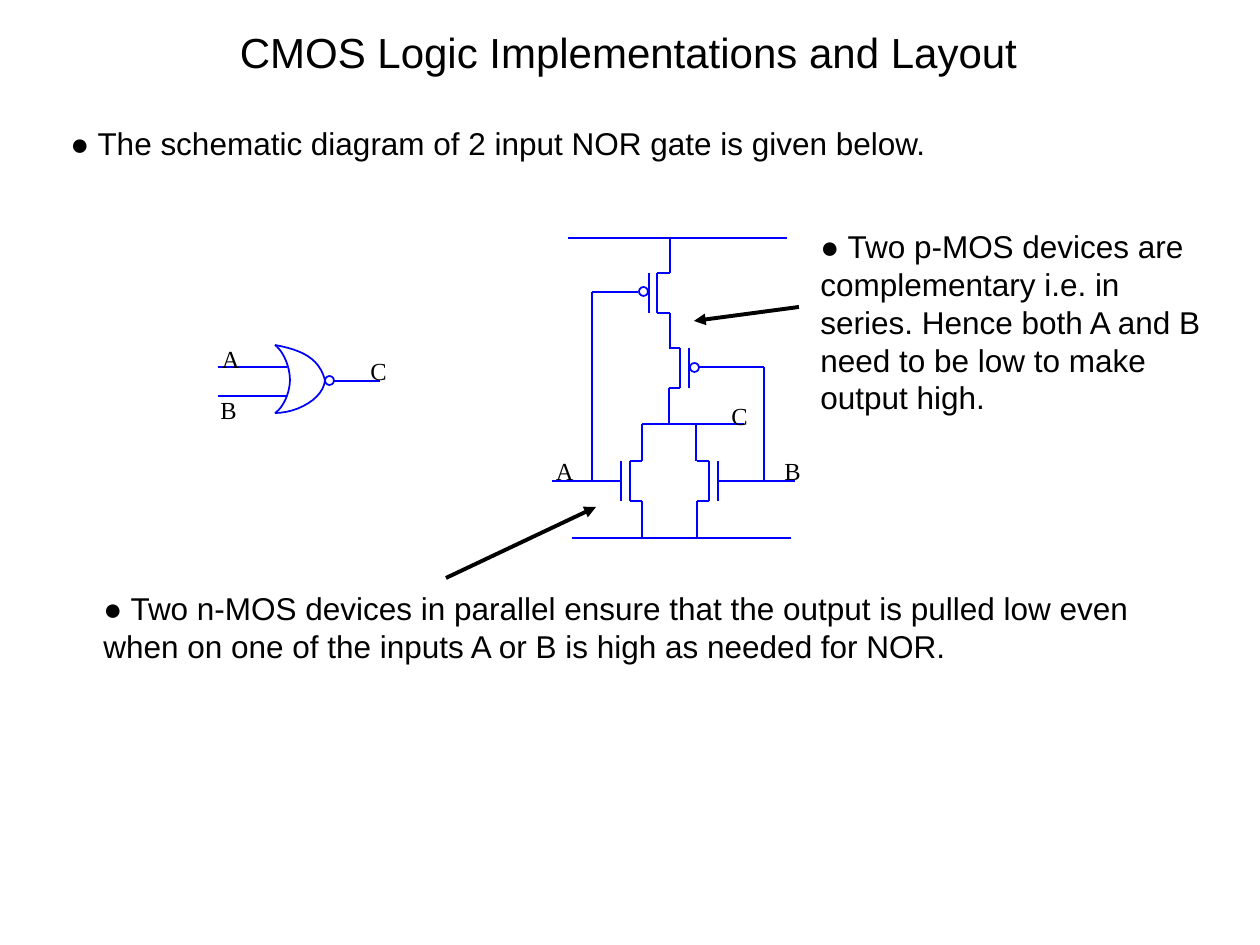
from pptx import Presentation
from pptx.dml.color import RGBColor
from pptx.enum.shapes import MSO_CONNECTOR, MSO_SHAPE
from pptx.enum.text import MSO_AUTO_SIZE, PP_ALIGN
from pptx.oxml.ns import qn
from pptx.util import Inches, Pt
from lxml import etree

PX = Inches(1) // 126
BLUE, BLACK, WHITE = "0000FF", "000000", "FFFFFF"
STRAIGHT, OVAL = MSO_CONNECTOR.STRAIGHT, MSO_SHAPE.OVAL
GROW = MSO_AUTO_SIZE.SHAPE_TO_FIT_TEXT
LEFT, CENTER = PP_ALIGN.LEFT, PP_ALIGN.CENTER
WIRE_WIDTH, ARROW_WIDTH = Pt(1), Pt(2.25)

deck = Presentation()
deck.slide_width, deck.slide_height = Inches(10), Inches(7.5)
page = deck.slides.add_slide(deck.slide_layouts[6])


def add_text(bounds, text, size, font, align, before=0, label=False):
    """Add a text box; a label has no margins and does not wrap."""
    box = page.shapes.add_textbox(*[value * PX for value in bounds])
    frame = box.text_frame
    frame.word_wrap = not label
    frame.auto_size = GROW
    if label:
        frame.margin_left = frame.margin_right = 0
        frame.margin_top = frame.margin_bottom = 0
    para = frame.paragraphs[0]
    para.text = text
    para.alignment = align
    para.space_before = Pt(before)
    para.font.size = Pt(size)
    para.font.name = font
    para.font.color.rgb = RGBColor.from_string(color := BLACK)


def add_line(x1, y1, x2, y2, color=BLUE, width=WIRE_WIDTH):
    """Add a straight line without a shadow and return it."""
    line = page.shapes.add_connector(STRAIGHT, x1 * PX, y1 * PX, x2 * PX, y2 * PX)
    line.line.color.rgb = RGBColor.from_string(color)
    line.line.width = width
    etree.SubElement(line._element.spPr, qn("a:effectLst"))
    return line


# Title and notes
add_text((44, 20, 1169, 63), "CMOS Logic Implementations and Layout", 24, "Arial", CENTER, 15)
notes = [
    ((58, 118, 1099, 50), "The schematic diagram of 2 input NOR gate is given below."),
    ((91, 583, 1099, 88), "Two n-MOS devices in parallel ensure that the output is pulled low "
                          "even when on one of the inputs A or B is high as needed for NOR."),
    ((808, 221, 410, 202), "Two p-MOS devices are complementary i.e. in series. Hence both "
                           "A and B need to be low to make output high."),
]
for bounds, text in notes:
    add_text(bounds, "● " + text, 18, "Arial", LEFT, 11.2)

# Transistors: gate bar, channel bar and lead x, top y
transistors = [(649, 657, 670, 273), (689, 680, 669, 348),
               (621, 630, 642, 461), (718, 709, 697, 461)]
for gate, channel, lead, top in transistors:
    bottom = top + 40
    add_line(gate, top, gate, bottom)
    add_line(channel, top, channel, bottom)
    for y in (top, bottom):
        add_line(channel, y, lead, y)

wires = [
    (568, 238, 787, 238), (572, 538, 791, 538),  # supply rails
    (670, 238, 670, 273), (670, 313, 670, 348), (669, 388, 669, 424),
    (642, 424, 642, 461), (696, 424, 696, 461),
    (642, 501, 642, 538), (697, 501, 697, 538),
    (642, 424, 744, 424),  # output C
    (552, 481, 621, 481), (592, 481, 592, 292), (592, 292, 638, 292),  # input A
    (795, 481, 718, 481), (764, 481, 764, 367), (764, 367, 699, 367),  # input B
    (218, 367, 287, 367), (218, 396, 286, 396), (334, 381, 380, 381),  # gate symbol
]
for wire in wires:
    add_line(*wire)

# Outlines of the NOR symbol, each a chain of two cubic curves
outlines = [
    [((275, 345), (302, 350), (319, 358), (325, 380)),
     ((325, 380), (324, 398), (298, 413), (275, 413))],
    [((275, 345), (283, 351), (290, 366), (290, 380)),
     ((290, 380), (290, 393), (283, 408), (275, 413))],
]
STEPS = 12
for curves in outlines:
    points = []
    for curve in curves:
        for step in range(STEPS + 1):
            t = step / STEPS
            weights = ((1 - t) ** 3, 3 * t * (1 - t) ** 2, 3 * t * t * (1 - t), t ** 3)
            points.append([round(PX * sum(w * point[axis] for w, point in zip(weights, curve)))
                           for axis in (0, 1)])
    builder = page.shapes.build_freeform(*points[0])
    builder.add_line_segments(points[1:], close=False)
    outline = builder.convert_to_shape()
    outline.shadow.inherit = False
    outline.fill.background()
    outline.line.color.rgb = RGBColor.from_string(BLUE)
    outline.line.width = WIRE_WIDTH

# Inversion bubbles
for left, top in [(639, 287), (690, 363), (325, 376)]:
    bubble = page.shapes.add_shape(OVAL, left * PX, top * PX, 9 * PX, 9 * PX)
    bubble.shadow.inherit = False
    bubble.fill.solid()
    bubble.fill.fore_color.rgb = RGBColor.from_string(WHITE)
    bubble.line.color.rgb = RGBColor.from_string(BLUE)
    bubble.line.width = WIRE_WIDTH

# Terminal names
terminals = [("A", 556, 456), ("B", 784, 456), ("C", 731, 401),
             ("A", 222, 344), ("B", 220, 395), ("C", 370, 356)]
for name, left, top in terminals:
    add_text((left, top, 17, 29), name, 14, "Times New Roman", CENTER, label=True)

# Pointers from the notes to the devices
for ends in [(446, 578, 596, 507), (799, 307, 694, 321)]:
    arrow = add_line(*ends, BLACK, ARROW_WIDTH)
    etree.SubElement(arrow.line._get_or_add_ln(), qn("a:tailEnd"), type="triangle")

deck.save("out.pptx")
